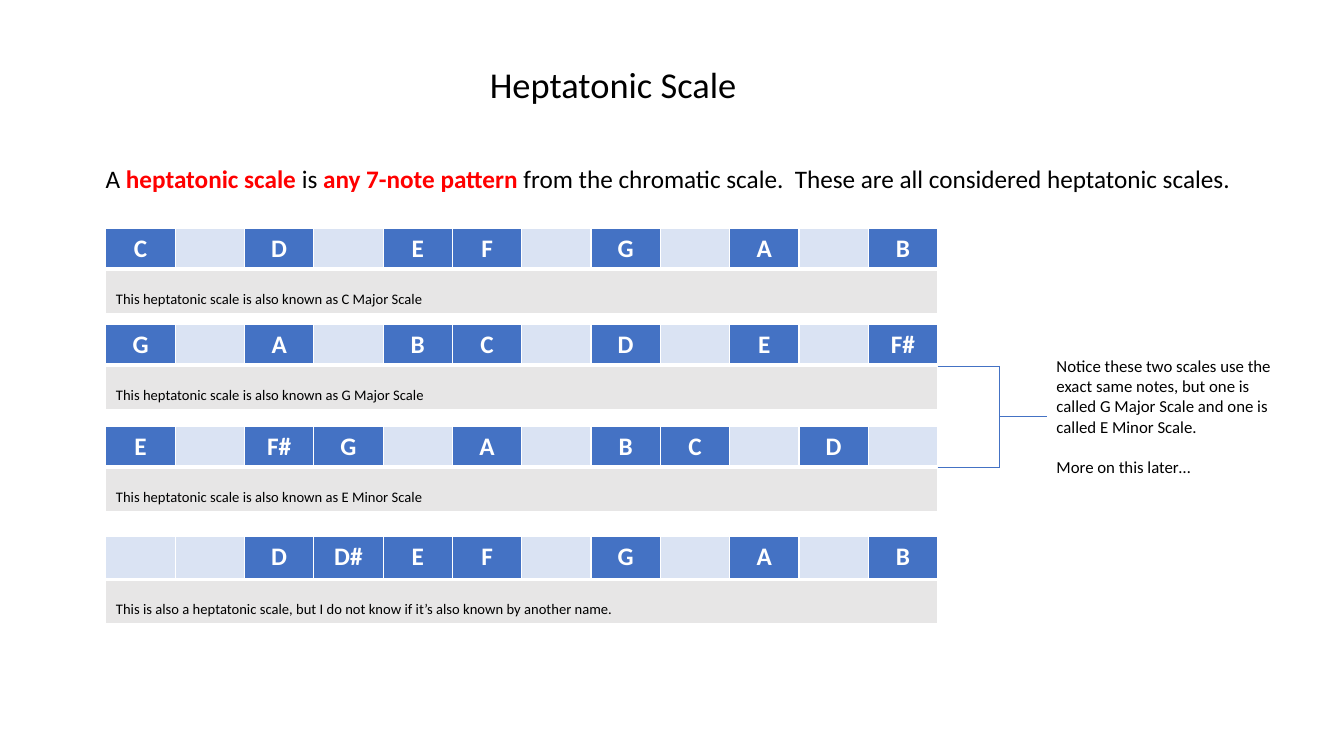
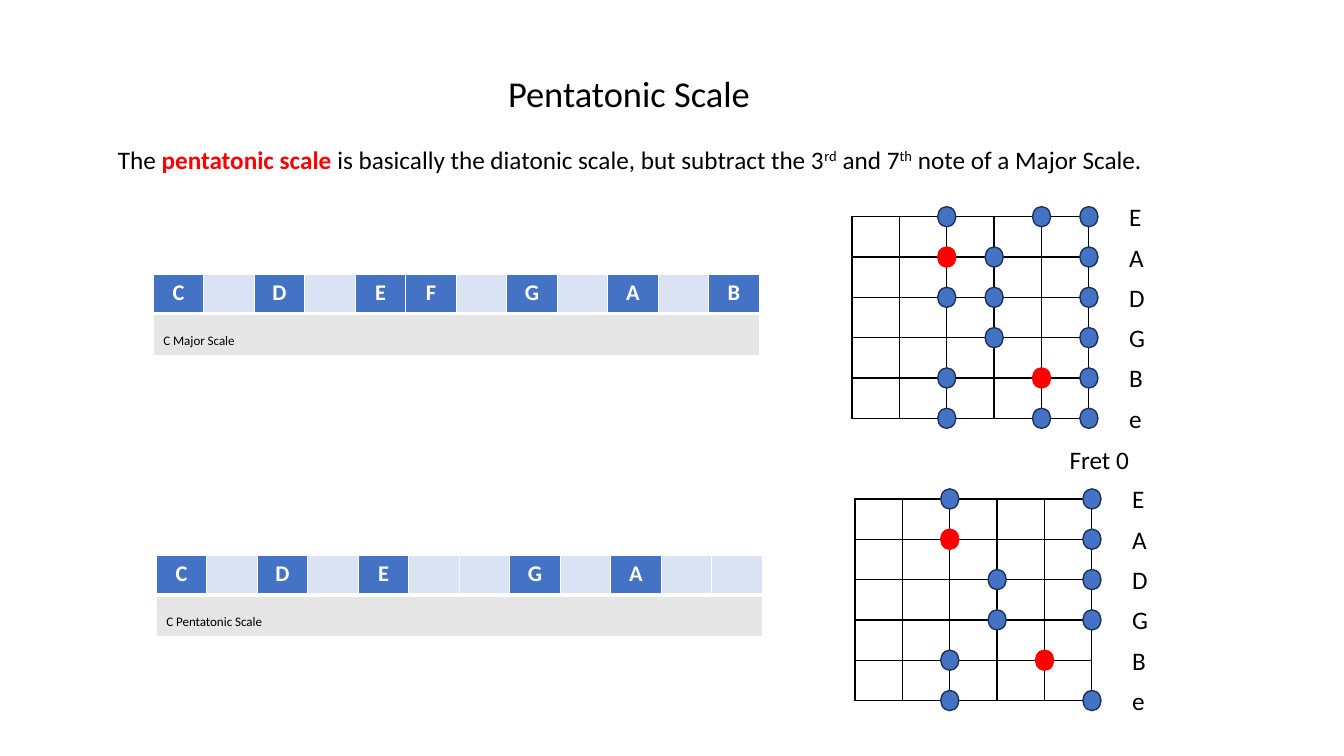
from dataclasses import dataclass

from lxml import etree
from pptx import Presentation
from pptx.dml.color import RGBColor
from pptx.enum.shapes import MSO_CONNECTOR, MSO_SHAPE
from pptx.enum.text import MSO_ANCHOR, PP_ALIGN
from pptx.oxml.ns import qn
from pptx.util import Inches, Pt


@dataclass(frozen=True)
class Theme:
    font: str = "Calibri"
    ink: str = "000000"
    white: str = "FFFFFF"
    note: str = "4472C4"
    rest: str = "DAE3F3"
    caption: str = "E7E6E6"
    accent: str = "FF0000"
    dot_edge: str = "1E3256"
    title_size: int = 26
    body_size: int = 18
    small_scale_size: int = 16
    remark_size: int = 12


THEME = Theme()

# Content: a run is (text, style), style being "", "key" or "sup"
HEPTATONIC_TITLE = "Heptatonic Scale"
HEPTATONIC_INTRO = [
    ("A ", ""), ("heptatonic scale", "key"), (" is ", ""),
    ("any 7-note pattern", "key"),
    (" from the chromatic scale.  These are all considered heptatonic scales.", ""),
]
# top, header height, twelve semitones ("-" is a skipped one), caption
HEPTATONIC_SCALES = [
    (2.27, 0.4, "C - D - E F - G - A - B",
     "This heptatonic scale is also known as C Major Scale"),
    (3.22, 0.4, "G - A - B C - D - E - F#",
     "This heptatonic scale is also known as G Major Scale"),
    (4.23, 0.4, "E - F# G - A - B C - D -",
     "This heptatonic scale is also known as E Minor Scale"),
    (5.32, 0.43, "- - D D# E F - G - A - B",
     "This is also a heptatonic scale, but I do not know if it’s also known by another name."),
]
REMARK = [
    "Notice these two scales use the exact same notes, but one is "
    "called G Major Scale and one is called E Minor Scale.",
    "More on this later…",
]

PENTATONIC_TITLE = "Pentatonic Scale"
PENTATONIC_INTRO = [
    ("The ", ""), ("pentatonic scale ", "key"),
    ("is basically the diatonic scale, but subtract the 3", ""), ("rd", "sup"),
    (" and 7", ""), ("th", "sup"), (" note of a Major Scale.", ""),
]
PENTATONIC_SCALES = [
    (1.52, 2.72, "C - D - E F - G - A - B", "C Major Scale"),
    (1.55, 5.51, "C - D - E - - G - A - -", "C Pentatonic Scale"),
]
# left, top, frets played on each string
FRETBOARDS = [
    (8.45, 2.15, {"E": (0, 1, 3), "A": (0, 2, 3), "D": (0, 2, 3),
                  "G": (0, 2), "B": (0, 1, 3), "e": (0, 1, 3)}),
    (8.48, 4.95, {"E": (0, 3), "A": (0, 3), "D": (0, 2),
                  "G": (0, 2), "B": (1, 3), "e": (0, 3)}),
]
ROOTS = {("A", 3), ("B", 1)}
OPEN_FRET = "Fret 0"

# Fretboard measures, in inches
FRETS, FRET_WIDTH, STRING_GAP = 5, 0.47, 0.4
DOT_WIDTH, DOT_HEIGHT = 0.18, 0.2


def rgb(color):
    return RGBColor.from_string(color)


def box(*lengths):
    return [Inches(length) for length in lengths]


def style_font(font, size, color=THEME.ink, bold=False):
    font.name, font.size, font.bold = THEME.font, Pt(size), bold
    font.color.rgb = rgb(color)


def set_baseline(run, percent):
    run.font._element.set("baseline", str(percent * 1000))


# Text
def add_text(slide, place, paragraphs, size=THEME.body_size, wrap=False, gap=0):
    frame = slide.shapes.add_textbox(*box(*place)).text_frame
    frame.word_wrap = wrap
    for index, runs in enumerate(paragraphs):
        paragraph = frame.paragraphs[0] if index == 0 else frame.add_paragraph()
        paragraph.space_before = Pt(gap if index else 0)
        style_font(paragraph.font, size)
        for text, style in runs:
            run = paragraph.add_run()
            run.text = text
            if style == "key":
                style_font(run.font, size, THEME.accent, True)
            elif style == "sup":
                set_baseline(run, 30)


def add_line(slide, text, place, size=THEME.body_size):
    add_text(slide, place, [[(text, "")]], size)


# Tables
def set_borders(cell, color, top=1, bottom=1):
    properties = cell._tc.get_or_add_tcPr()
    for side, width in (("L", 1), ("R", 1), ("T", top), ("B", bottom)):
        line = etree.SubElement(properties, qn(f"a:ln{side}"), w=str(Pt(width)))
        fill = etree.SubElement(line, qn("a:solidFill"))
        etree.SubElement(fill, qn("a:srgbClr"), val=color)


def add_plain_table(slide, place, row_heights, columns):
    table = slide.shapes.add_table(len(row_heights), columns, *box(*place)).table
    table.first_row = table.horz_banding = False
    for row, height in zip(table.rows, row_heights):
        row.height = Inches(height)
    return table


def paint(cell, color):
    cell.fill.solid()
    cell.fill.fore_color.rgb = rgb(color)


def clear_margins(cell):
    cell.margin_top = cell.margin_bottom = 0


def add_scale(slide, left, top, width, heights, notes, caption, size):
    notes = notes.split()
    table = add_plain_table(slide, (left, top, width, sum(heights)), heights, len(notes))
    for column, note in enumerate(notes):
        cell = table.cell(0, column)
        set_borders(cell, THEME.white, bottom=3)
        if note == "-":
            clear_margins(cell)
            paint(cell, THEME.rest)
            continue
        paint(cell, THEME.note)
        cell.text = note
        paragraph = cell.text_frame.paragraphs[0]
        paragraph.alignment = PP_ALIGN.CENTER
        style_font(paragraph.font, size, THEME.white, True)

    footer = table.cell(1, 0)
    footer.merge(table.cell(1, len(notes) - 1))
    set_borders(footer, THEME.white, top=3)
    paint(footer, THEME.caption)
    paragraph = footer.text_frame.paragraphs[0]
    style_font(paragraph.font, size)
    run = paragraph.add_run()
    run.text = caption
    set_baseline(run, -25)


# Lines and dots
def add_rule(slide, *ends):
    rule = slide.shapes.add_connector(MSO_CONNECTOR.STRAIGHT, *box(*ends))
    rule.line.color.rgb = rgb(THEME.note)
    rule.line.width = Pt(0.5)
    etree.SubElement(rule._element.spPr, qn("a:effectLst"))


def add_dot(slide, x, y, is_root):
    dot = slide.shapes.add_shape(MSO_SHAPE.OVAL, *box(
        x - DOT_WIDTH / 2, y - DOT_HEIGHT / 2, DOT_WIDTH, DOT_HEIGHT))
    dot.shadow.inherit = False
    dot.fill.solid()
    dot.fill.fore_color.rgb = rgb(THEME.accent if is_root else THEME.note)
    dot.line.color.rgb = rgb(THEME.accent if is_root else THEME.dot_edge)
    dot.line.width = Pt(1)


def add_fretboard(slide, left, top, strings):
    heights = [STRING_GAP] * (len(strings) - 1)
    width = FRETS * FRET_WIDTH
    grid = add_plain_table(slide, (left, top, width, sum(heights)), heights, FRETS)
    for cell in grid.iter_cells():
        clear_margins(cell)
        set_borders(cell, THEME.ink)
        cell.fill.background()
    for index, (string, frets) in enumerate(strings.items()):
        y = top + index * STRING_GAP
        add_line(slide, string, (left + 2.65, y - 0.2, 0.35, 0.4))
        for fret in frets:
            add_dot(slide, left + width - fret * FRET_WIDTH, y, (string, fret) in ROOTS)


# Slides
def build_heptatonic(slide):
    left, width = 1.05, 8.25
    add_line(slide, HEPTATONIC_TITLE, (4.76, 0.57, 2.67, 0.54), THEME.title_size)
    add_text(slide, (0.95, 1.57, 11.43, 0.4), [HEPTATONIC_INTRO])
    for top, header, notes, caption in HEPTATONIC_SCALES:
        add_scale(slide, left, top, width, (header, 0.44), notes, caption, THEME.body_size)

    # Bracket joining the G major and E minor scales
    start, spine, end = left + width, 9.91, 10.38
    upper, lower = (scale[0] + 0.41 for scale in HEPTATONIC_SCALES[1:3])
    middle = (upper + lower) / 2
    for y in (upper, lower):
        add_rule(slide, start, y, spine, y)
    add_rule(slide, spine, upper, spine, lower)
    add_rule(slide, spine, middle, end, middle)
    add_text(slide, (end, 3.48, 2.36, 1.31), [[(text, "")] for text in REMARK],
             THEME.remark_size, wrap=True, gap=14.4)


def build_pentatonic(slide):
    add_line(slide, PENTATONIC_TITLE, (4.94, 0.66, 2.62, 0.54), THEME.title_size)
    add_text(slide, (1.07, 1.38, 10.42, 0.4), [PENTATONIC_INTRO])
    for left, top, notes, caption in PENTATONIC_SCALES:
        add_scale(slide, left, top, 6.01, (0.39, 0.42), notes, caption,
                  THEME.small_scale_size)
    for fretboard in FRETBOARDS:
        add_fretboard(slide, *fretboard)
    add_line(slide, OPEN_FRET, (10.51, 4.36, 0.8, 0.4))


def main():
    deck = Presentation()
    deck.slide_width, deck.slide_height = Inches(13.33), Inches(7.5)
    for build in (build_heptatonic, build_pentatonic):
        build(deck.slides.add_slide(deck.slide_layouts[6]))
    deck.save("out.pptx")


if __name__ == "__main__":
    main()
